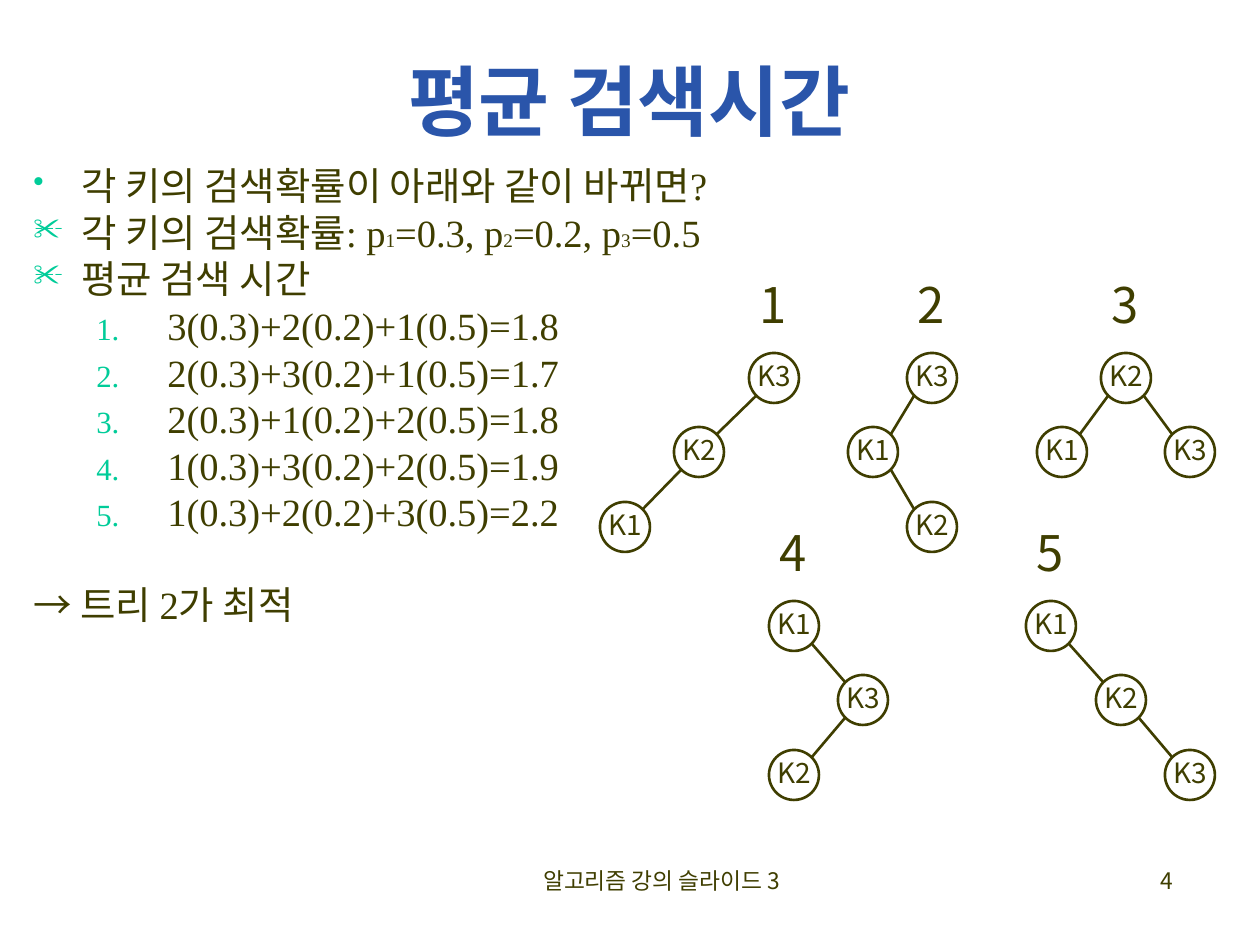
from lxml import etree
from pptx import Presentation
from pptx.dml.color import RGBColor
from pptx.enum.shapes import MSO_CONNECTOR, MSO_SHAPE
from pptx.enum.text import MSO_ANCHOR, PP_ALIGN
from pptx.oxml.ns import qn
from pptx.util import Pt

LEFT, CENTER, RIGHT = PP_ALIGN.LEFT, PP_ALIGN.CENTER, PP_ALIGN.RIGHT
TOP, MIDDLE = MSO_ANCHOR.TOP, MSO_ANCHOR.MIDDLE
OVAL, STRAIGHT = MSO_SHAPE.OVAL, MSO_CONNECTOR.STRAIGHT

PX = 914400 // 126
COLORS = {"title": "2A55AA", "ink": "3F3E00", "bullet": "00CC99"}
SERIF, SANS, ARROW = "Times New Roman", "Noto Sans CJK KR", "Arial"

TITLE = "평균 검색시간"
FOOTER = "알고리즘 강의 슬라이드 3"
PAGE = "4"
POINTS = [
    ("•", ["각 키의 검색확률이 아래와 같이 바뀌면?"]),
    ("✂", ["각 키의 검색확률: p", ("1", 11), "=0.3, p", ("2", 11),
           "=0.2, p", ("3", 11), "=0.5"]),
    ("✂", ["평균 검색 시간"]),
]
SEARCH_TIMES = [
    "3(0.3)+2(0.2)+1(0.5)=1.8",
    "2(0.3)+3(0.2)+1(0.5)=1.7",
    "2(0.3)+1(0.2)+2(0.5)=1.8",
    "1(0.3)+3(0.2)+2(0.5)=1.9",
    "1(0.3)+2(0.2)+3(0.5)=2.2",
]
CONCLUSION = [("→ ", 22, ARROW), "트리 2가 최적"]

# Each tree: number, root y, nodes as (key, center x, depth, parent key)
TREES = [
    ("1", 378, [("K3", 774, 0, None), ("K2", 699, 1, "K3"), ("K1", 625, 2, "K2")]),
    ("2", 378, [("K3", 932, 0, None), ("K1", 873, 1, "K3"), ("K2", 932, 2, "K1")]),
    ("3", 378, [("K2", 1126, 0, None), ("K1", 1062, 1, "K2"), ("K3", 1190, 1, "K2")]),
    ("4", 626, [("K1", 794, 0, None), ("K3", 863, 1, "K1"), ("K2", 794, 2, "K3")]),
    ("5", 626, [("K1", 1051, 0, None), ("K2", 1121, 1, "K1"), ("K3", 1190, 2, "K2")]),
]
DEPTH_OFFSETS = (0, 74, 149)
NODE = 50
EDGE_INSET = 18
NUMBER_W, NUMBER_H, NUMBER_RISE = 53, 66, 103


def rgb(name):
    return RGBColor.from_string(COLORS[name])


def emu(*lengths):
    return [length * PX for length in lengths]


def add_bullet(paragraph, mark, indent, hanging):
    props = paragraph._p.get_or_add_pPr()
    props.set("marL", str(indent * PX))
    props.set("indent", str(-hanging * PX))
    if mark is None:
        etree.SubElement(props, qn("a:buNone"))
        return
    color = etree.SubElement(props, qn("a:buClr"))
    etree.SubElement(color, qn("a:srgbClr"), val=COLORS["bullet"])
    etree.SubElement(props, qn("a:buSzPct"), val="80000")
    if mark == "auto":
        etree.SubElement(props, qn("a:buAutoNum"), type="arabicPeriod")
    else:
        etree.SubElement(props, qn("a:buChar"), char=mark)


def write(paragraph, runs, size=22, font=SERIF, color="ink", bold=False,
          align=LEFT, spacing=None, before=0):
    paragraph.alignment = align
    paragraph.space_before = Pt(before)
    if spacing:
        paragraph.line_spacing = spacing
    for item in [runs] if isinstance(runs, str) else runs:
        words, *own = (item,) if isinstance(item, str) else item
        run = paragraph.add_run()
        run.text = words
        run.font.size = Pt(own[0] if own else size)
        run.font.bold = bold
        run.font.color.rgb = rgb(color)
        run.font.name = own[1] if len(own) > 1 else font
        etree.SubElement(run._r.get_or_add_rPr(), qn("a:ea"), typeface=SANS)


def add_text(slide, box, runs, wrap=True, **style):
    frame = slide.shapes.add_textbox(*emu(*box)).text_frame
    frame.word_wrap = wrap
    frame.vertical_anchor = TOP
    write(frame.paragraphs[0], runs, **style)


def add_body(slide):
    frame = slide.shapes.add_textbox(*emu(21, 165, 1164, 496)).text_frame
    frame.word_wrap = True
    lines = [(runs, mark, 48, 48, 5.5) for mark, runs in POINTS]
    lines += [(sums, "auto", 134, 71, 5.5) for sums in SEARCH_TIMES]
    lines.append((CONCLUSION, None, 48, 48, 32))
    for index, (runs, mark, indent, hanging, before) in enumerate(lines):
        paragraph = frame.add_paragraph() if index else frame.paragraphs[0]
        if mark == "auto":
            paragraph.level = 1
        add_bullet(paragraph, mark, indent, hanging)
        write(paragraph, runs, spacing=0.8, before=before if index else 0)


def add_node(slide, key, x, y):
    node = slide.shapes.add_shape(
        OVAL, *emu(x - NODE // 2, y - NODE // 2, NODE, NODE))
    node.shadow.inherit = False
    node.fill.background()
    node.line.color.rgb = rgb("ink")
    node.line.width = Pt(1.5)
    frame = node.text_frame
    frame.word_wrap = False
    frame.vertical_anchor = MIDDLE
    write(frame.paragraphs[0], key, size=16, font=SANS, align=CENTER, spacing=0.9)


def add_edge(slide, parent, child):
    side = EDGE_INSET if child[0] > parent[0] else -EDGE_INSET
    edge = slide.shapes.add_connector(STRAIGHT, *emu(
        parent[0] + side, parent[1] + EDGE_INSET,
        child[0] - side, child[1] - EDGE_INSET))
    edge.line.color.rgb = rgb("ink")
    edge.line.width = Pt(1.5)
    etree.SubElement(edge._element.spPr, qn("a:effectLst"))


def add_tree(slide, number, root_y, nodes):
    centers = {key: (x, root_y + DEPTH_OFFSETS[depth]) for key, x, depth, _ in nodes}
    for key, _, _, parent in nodes:
        add_node(slide, key, *centers[key])
        if parent:
            add_edge(slide, centers[parent], centers[key])
    root_x = nodes[0][1]
    add_text(slide, (root_x - NUMBER_W // 2 - 1, root_y - NUMBER_RISE, NUMBER_W, NUMBER_H),
             number, wrap=False, size=28, font=SANS, align=CENTER, spacing=0.9)


def main():
    deck = Presentation()
    deck.slide_width, deck.slide_height = emu(1260, 945)
    slide = deck.slides.add_slide(deck.slide_layouts[5])

    title = slide.shapes.title
    title.left, title.top, title.width, title.height = emu(34, 35, 1191, 129)
    title.text_frame.vertical_anchor = MIDDLE
    write(title.text_frame.paragraphs[0], TITLE, size=44, color="title",
          bold=True, align=CENTER)

    add_body(slide)
    for tree in TREES:
        add_tree(slide, *tree)
    add_text(slide, (462, 861, 399, 63), FOOTER, size=13, font=SANS, align=CENTER)
    add_text(slide, (924, 861, 262, 63), PAGE, size=13, font=SANS, align=RIGHT)
    deck.save("out.pptx")


if __name__ == "__main__":
    main()
